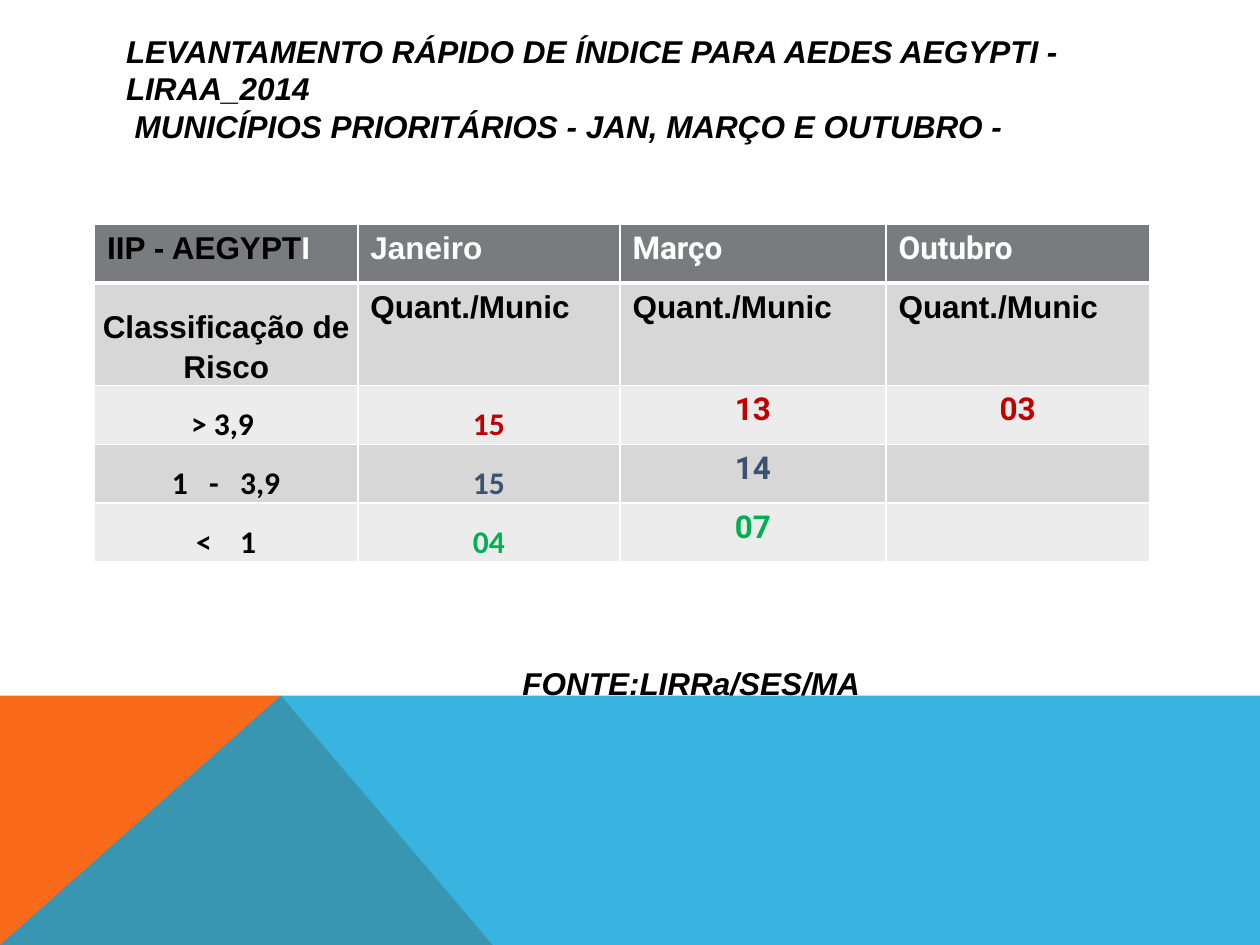
"""Build the LIRAa 2014 slide with its risk classification table."""
from dataclasses import dataclass

from lxml import etree
from pptx import Presentation
from pptx.dml.color import RGBColor
from pptx.enum.text import MSO_ANCHOR, MSO_AUTO_SIZE, PP_ALIGN
from pptx.oxml.ns import qn
from pptx.util import Pt

LEFT, CENTER = PP_ALIGN.LEFT, PP_ALIGN.CENTER
TOP, MIDDLE, BOTTOM = MSO_ANCHOR.TOP, MSO_ANCHOR.MIDDLE, MSO_ANCHOR.BOTTOM
NO_FIT = MSO_AUTO_SIZE.NONE


@dataclass(frozen=True)
class Theme:
    black: str = "000000"
    white: str = "FFFFFF"
    orange: str = "F96A1B"
    blue: str = "08A1D9"
    header: str = "797B7E"
    dark_band: str = "D7D7D8"
    light_band: str = "ECECEC"
    high: str = "C00000"
    medium: str = "3C526F"
    low: str = "00B050"
    sans: str = "Arial"
    label: str = "Calibri"
    number: str = "Roboto"
    size: float = 18


T = Theme()
ROOMY = (7.2, 3.6, 7.2, 3.6)
SNUG = (3, 0, 3, 0)
TIGHT = (0.75, 0.75, 0.75, 0)


@dataclass(frozen=True)
class Cell:
    text: str = ""
    color: str = T.black
    font: str = T.sans
    align: PP_ALIGN = LEFT
    anchor: MSO_ANCHOR = TOP
    insets: tuple = ROOMY
    spacing: float = 1.0


def add_text(p, text: str, *, color: str = T.black, font: str = T.sans,
             italic: bool = False, align: PP_ALIGN = LEFT, spacing: float = 1.0) -> None:
    """Append bold text to a paragraph, turning newlines into line breaks."""
    p.alignment, p.line_spacing = align, spacing
    for i, line in enumerate(text.split("\n")):
        if i:
            p.add_line_break()
        r = p.add_run()
        r.text = line
        r.font.name, r.font.size = font, Pt(T.size)
        r.font.bold, r.font.italic = True, italic
        r.font.color.rgb = RGBColor.from_string(color)


def add_polygon(s, points: list, color: str, alpha: int = 100) -> None:
    """Draw a closed, unlined polygon with the given opacity percentage."""
    builder = s.shapes.build_freeform(Pt(points[0][0]), Pt(points[0][1]))
    builder.add_line_segments([(Pt(x), Pt(y)) for x, y in points[1:]])
    sp = builder.convert_to_shape()
    sp.shadow.inherit = False
    sp.line.fill.background()
    sp.fill.solid()
    sp.fill.fore_color.rgb = RGBColor.from_string(color)
    if alpha < 100:
        clr = sp.fill._xPr.find(qn("a:solidFill"))[0]
        etree.SubElement(clr, qn("a:alpha"), val=str(alpha * 1000))


def set_borders(cell, top: float, bottom: float) -> None:
    """Give a cell white borders of the given top and bottom widths."""
    tcPr = cell._tc.get_or_add_tcPr()
    for side, width in (("L", 1), ("R", 1), ("T", top), ("B", bottom)):
        ln = etree.SubElement(tcPr, qn(f"a:ln{side}"), w=str(Pt(width)))
        fill = etree.SubElement(ln, qn("a:solidFill"))
        etree.SubElement(fill, qn("a:srgbClr"), val=T.white)


def fill_cell(cell, spec: Cell, fill: str, row: int) -> None:
    """Format one table cell and write its text."""
    set_borders(cell, 3 if row == 1 else 1, 3 if row == 0 else 1)
    cell.fill.solid()
    cell.fill.fore_color.rgb = RGBColor.from_string(fill)
    cell.vertical_anchor = spec.anchor
    (cell.margin_left, cell.margin_top,
     cell.margin_right, cell.margin_bottom) = map(Pt, spec.insets)
    if spec.text:
        add_text(cell.text_frame.paragraphs[0], spec.text, color=spec.color,
                 font=spec.font, align=spec.align, spacing=spec.spacing)


def risk_row(label: str, color: str, january: str, *others: str) -> list:
    """Return the cells of one risk class, padded to four columns."""
    cells = [Cell(label, T.black, T.label, CENTER, BOTTOM, TIGHT),
             Cell(january, color, T.label, CENTER, BOTTOM, TIGHT)]
    cells += [Cell(text, color, T.number, CENTER) for text in others]
    return cells + [Cell()] * (4 - len(cells))


def add_risk_table(s) -> None:
    """Draw the table of municipalities by risk class and month."""
    rows = [
        [Cell("IIP - AEGYPT"), Cell("Janeiro", T.white),
         Cell("Março", T.white, T.number), Cell("Outubro", T.white, T.number)],
        [Cell("Classificação de Risco", align=CENTER, anchor=BOTTOM,
              insets=SNUG, spacing=1.15)] + [Cell("Quant./Munic")] * 3,
        risk_row("> 3,9 ", T.high, "15", "13", "03"),
        risk_row("1   -   3,9", T.medium, "15", "14"),
        risk_row("<    1", T.low, "04", "07"),
    ]
    widths = (150.5, 149.8, 152, 150.5)
    heights = (33.6, 58.5, 33.6, 33.6, 33.6)
    table = s.shapes.add_table(len(rows), len(widths), Pt(54), Pt(128.2),
                               Pt(sum(widths)), Pt(sum(heights))).table
    for column, width in zip(table.columns, widths):
        column.width = Pt(width)
    for i, (cells, height) in enumerate(zip(rows, heights)):
        table.rows[i].height = Pt(height)
        band = T.dark_band if i % 2 else T.light_band
        for j, spec in enumerate(cells):
            fill_cell(table.cell(i, j), spec, band if i else T.header, i)
    add_text(table.cell(0, 0).text_frame.paragraphs[0], "I", color=T.white)


def main() -> None:
    """Build and save the slide."""
    prs = Presentation()
    prs.slide_width, prs.slide_height = Pt(720), Pt(540)
    s = prs.slides.add_slide(prs.slide_layouts[5])

    horizon, peak = 397.5, 160.5
    add_polygon(s, [(0, 540), (0, horizon), (peak, horizon), (281.5, 540)], T.orange)
    add_polygon(s, [(0, 540), (peak, horizon), (720, horizon), (720, 540)], T.blue, 80)

    title = s.shapes.title
    title.left, title.top, title.width, title.height = Pt(64.8), Pt(29), Pt(592), Pt(43)
    tf = title.text_frame
    tf.auto_size, tf.vertical_anchor, tf.word_wrap = NO_FIT, MIDDLE, True
    add_text(tf.paragraphs[0],
             "LEVANTAMENTO RÁPIDO DE ÍNDICE PARA AEDES AEGYPTI - LIRAA_2014\n"
             " MUNICÍPIOS PRIORITÁRIOS - JAN, MARÇO E OUTUBRO -", italic=True)

    add_risk_table(s)

    source = s.shapes.add_textbox(Pt(286.5), Pt(376), Pt(232.5), Pt(29))
    source.text_frame.word_wrap = True
    add_text(source.text_frame.paragraphs[0], " FONTE:LIRRa/SES/MA", italic=True)

    prs.save("out.pptx")


if __name__ == "__main__":
    main()
